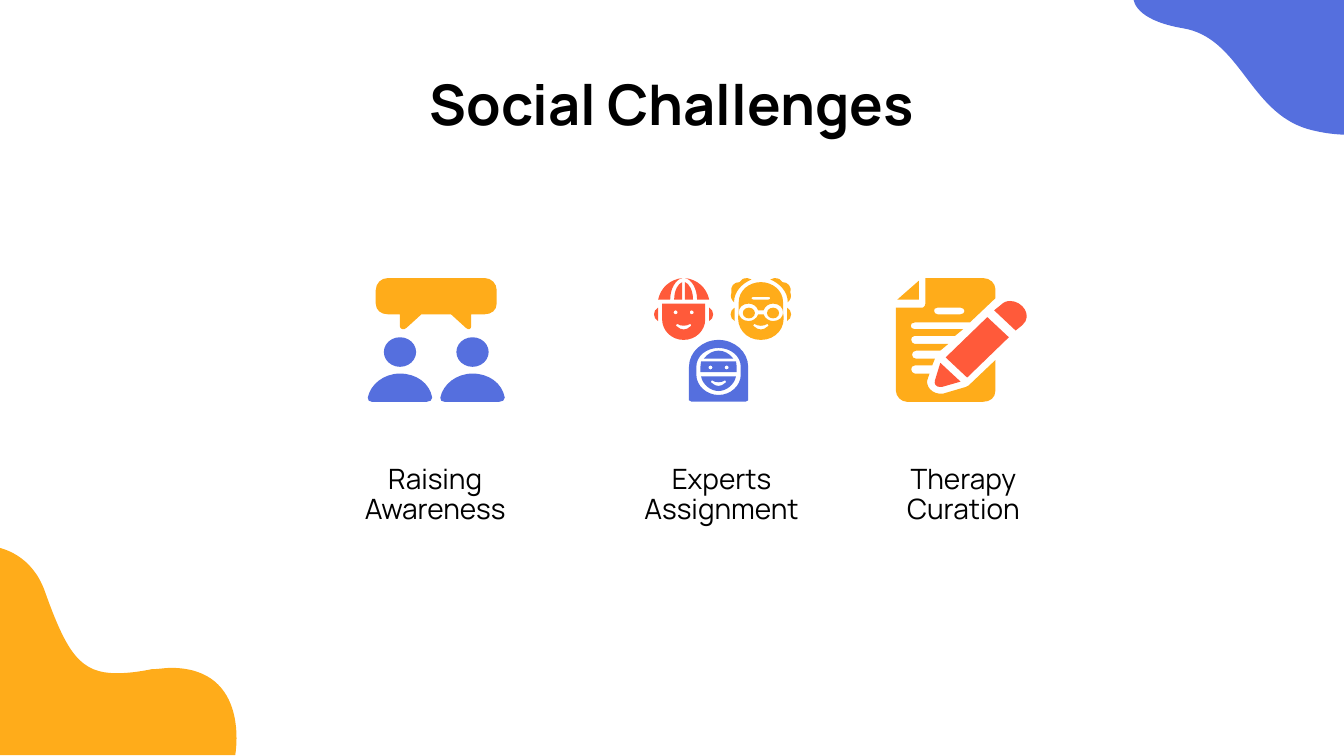
import lxml.etree
import pptx
import pptx.util
import pptx.dml.color
import pptx.enum.shapes
import pptx.enum.text
import pptx.oxml.ns

Pt = pptx.util.Pt
RGB = pptx.dml.color.RGBColor
qn = pptx.oxml.ns.qn
YELLOW = RGB(0xFF, 0xAC, 0x1A)
BLUE = RGB(0x55, 0x6F, 0xDE)
RED = RGB(0xFF, 0x5A, 0x3A)
BLACK = RGB(0, 0, 0)
WHITE = RGB(0xFF, 0xFF, 0xFF)
UNIT = 0.72

EYE = "M 0 -1.5 C 2 -1.5 2 1.5 0 1.5 C -2 1.5 -2 -1.5 0 -1.5 Z"
SMILE = "M -5 0 C -2 2 2 2 5 0 C 6 1 6 2 5 2 C 2 5 -2 5 -5 2 C -6 2 -6 1 -5 0 Z"
EAR = "M 19 22 C 21 23 22 25 22 27 C 22 29 21 31 19 32 Z"


def read_contours(outline_text):
    contours = []
    for part in outline_text.split("M")[1:]:
        tokens = ("L " + part.replace("Z", "")).split()
        segments = []
        i = 0
        while i < len(tokens):
            count = 6 if tokens[i] == "C" else 2
            n = [float(t) for t in tokens[i + 1:i + 1 + count]]
            segments.append(list(zip(n[::2], n[1::2])))
            i += count + 1
        contours.append(segments)
    return contours


def shift(outline_text, dx, dy):
    tokens = []
    horizontal = True
    for t in outline_text.split():
        if not t.isalpha():
            t = str(float(t) + (dx if horizontal else dy))
            horizontal = not horizontal
        tokens.append(t)
    return " ".join(tokens) + " "


def paint(sp, fill):
    sp.shadow.inherit = False
    sp.fill.solid()
    sp.fill.fore_color.rgb = fill
    sp.line.fill.background()


def outline(s, left, top, outline_text, fill, flip=1):
    contours = [[[(Pt(left + flip * x * UNIT), Pt(top + y * UNIT)) for x, y in seg]
                 for seg in c] for c in read_contours(outline_text)]
    builder = s.shapes.build_freeform(*contours[0][0][0], scale=1.0)
    for i, segments in enumerate(contours):
        if i:
            builder.move_to(*segments[0][0])
        builder.add_line_segments([seg[-1] for seg in segments[1:]], close=True)
    sp = builder.convert_to_shape()
    drawn = [seg for c in contours for seg in c[1:]]
    for line, seg in zip(list(sp._element.iter(qn("a:lnTo"))), drawn):
        if len(seg) == 3:
            curve = lxml.etree.Element(qn("a:cubicBezTo"))
            for x, y in seg:
                lxml.etree.SubElement(curve, qn("a:pt"), x=str(x - sp.left), y=str(y - sp.top))
            line.getparent().replace(line, curve)
    paint(sp, fill)


def mirrored(s, axis, top, outline_text, fill):
    for flip in (1, -1):
        outline(s, axis, top, outline_text, fill, flip)


def oval(s, left, top, width, height, fill):
    sp = s.shapes.add_shape(pptx.enum.shapes.MSO_SHAPE.OVAL,
                            Pt(left), Pt(top), Pt(width), Pt(height))
    paint(sp, fill)


def add_text(s, text, left, top, width, height, size=15, bold=False):
    tf = s.shapes.add_textbox(Pt(left), Pt(top), Pt(width), Pt(height)).text_frame
    tf.word_wrap = True
    tf.vertical_anchor = pptx.enum.text.MSO_ANCHOR.TOP
    tf.margin_left = tf.margin_right = tf.margin_top = tf.margin_bottom = Pt(7.2)
    p = tf.paragraphs[0]
    p.alignment = pptx.enum.text.PP_ALIGN.CENTER
    p.line_spacing = 0.9
    r = p.add_run()
    r.text = text
    r.font.name = "Manrope"
    r.font.size = Pt(size)
    r.font.bold = bold
    r.font.color.rgb = BLACK


def corner_waves(s, left, top):
    outline(s, left, top,
            "M -13 406 C -21 406 -28 408 -33 411 L -33 562 L 175 562 "
            "C 175 562 187 497 127 497 C 123 497 118 498 113 498 C 103 500 95 501 87 501 "
            "C 60 501 50 487 33 439 C 24 415 4 406 -13 406 Z", YELLOW)
    outline(s, left, top,
            "M 843 -5 C 842 5 851 16 880 21 C 923 28 929 83 973 96 "
            "C 1020 109 1045 88 1045 88 L 1051 -6 L 848 -19 C 846 -15 843 -10 843 -5 Z", BLUE)


def conversation_icon(s, left, top):
    outline(s, left, top,
            "M 15 0 C 10 0 6 4 6 9 L 6 19 C 6 24 10 27 15 27 L 24 27 L 24 36 "
            "C 24 38 27 39 29 37 L 40 27 L 62 27 L 73 37 C 75 39 77 38 77 36 "
            "L 77 27 L 87 27 C 92 27 96 24 96 19 L 96 9 C 96 4 92 0 87 0 Z", YELLOW)
    for x in (left, left + 54 * UNIT):
        oval(s, x + 12 * UNIT, top + 44 * UNIT, 24 * UNIT, 22 * UNIT, BLUE)
        outline(s, x, top,
                "M 24 71 C 12 71 2 79 0 89 C 0 91 1 92 3 92 L 44 92 "
                "C 46 92 48 91 48 89 C 46 78 36 71 24 71 Z", BLUE)


def capped_face(s, axis, top):
    mirrored(s, axis, top, EAR, RED)
    mirrored(s, axis, top, "M 1 0 C 6 1 10 8 10 16 L 19 16 C 17 7 10 1 1 0 Z", RED)
    mirrored(s, axis, top, "M 1 3 L 1 16 L 7 16 C 7 9 4 4 1 3 Z", RED)
    outline(s, axis, top,
            shift(EYE, -6, 25.5) + shift(EYE, 6, 25.5) + shift(SMILE, 0, 34)
            + "M -16 19 L -16 31 C -16 39 -9 46 0 46 C 9 46 16 39 16 31 L 16 19 Z", RED)


def bespectacled_face(s, axis, top):
    mirrored(s, axis, top, shift(EAR, 0.5, 0), YELLOW)
    mirrored(s, axis, top,
             "M 10 0 C 9 0 8 0 7 1 C 14 4 20 10 20 18 C 22 16 23 14 22 11 "
             "C 23 6 20 3 16 3 C 15 1 13 0 10 0 Z", YELLOW)
    for x in (-9, 9):
        oval(s, axis + (x - 4.5) * UNIT, top + 22 * UNIT, 9 * UNIT, 8 * UNIT, YELLOW)
    outline(s, axis, top,
            "M 5.5 14 C 7.5 14 7.5 16 5.5 16 L -5.5 16 C -7.5 16 -7.5 14 -5.5 14 Z "
            "M 9 19 C 19 19 19 32 9 32 C 6 32 3 30 2 27 L -2 27 C -3 30 -6 32 -9 32 "
            "C -19 32 -19 19 -9 19 C -6 19 -3 21 -2 24 L 2 24 C 3 21 6 19 9 19 Z "
            + shift(SMILE, 0, 34)
            + "M 0 3 C -8.5 3 -16.5 9 -16.5 18 L -16.5 26 C -19 37 -11 46 0 46 "
            "C 11 46 19 37 16.5 26 L 16.5 18 C 16.5 9 8.5 3 0 3 Z", YELLOW)


def hooded_face(s, axis, top):
    outline(s, axis, top, shift(SMILE, 0, 76)
            + "M -13 73 C -12 79 -6 84 0 84 C 6 84 12 79 13 73 Z", BLUE)
    outline(s, axis, top, "M 0 54 C -4 54 -8 56 -11 60 L 11 60 C 8 56 4 54 0 54 Z", BLUE)
    outline(s, axis, top, shift(EYE, -6, 66.5) + shift(EYE, 6, 66.5)
            + "M -13 62 L -13.5 66 L -13.5 70 L 13.5 70 L 13.5 66 L 13 62 Z", BLUE)
    outline(s, axis, top,
            "M 0 52 C 9 52 16.5 58 16.5 66 L 16.5 72 C 16.5 80 9 87 0 87 "
            "C -9 87 -16.5 80 -16.5 72 L -16.5 66 C -16.5 58 -9 52 0 52 Z "
            "M 0 46 C -12 46 -22 55 -22 66 L -22 91 L -20 92 L 20 92 "
            "L 22 91 L 22 66 C 22 55 12 46 0 46 Z", BLUE)


def experts_icon(s, left, top):
    hooded_face(s, left + 48 * UNIT, top)
    bespectacled_face(s, left + 79.5 * UNIT, top)
    capped_face(s, left + 22 * UNIT, top)


def notes_icon(s, left, top):
    outline(s, left, top,
            "M 48 22 C 52 22 52 27 48 27 L 31 27 C 28 27 27 22 31 22 Z "
            "M 22 0 L 22 19 C 22 20 21 22 20 22 L 0 22 L 0 84 C 0 88 4 92 8 92 L 65 92 "
            "C 70 92 74 89 74 84 L 74 61 L 54 80 L 52 81 L 35 86 "
            "C 27 87 21 80 24 74 L 25 71 L 14 71 C 11 71 10 65 14 65 "
            "L 27 65 L 29 60 L 15 60 C 11 60 11 54 15 54 L 33 54 L 39 49 L 14 49 "
            "C 11 49 10 43 14 43 L 44 43 L 50 38 L 14 38 C 10 38 10 33 14 33 L 55 33 "
            "L 74 15 L 74 8 C 74 4 70 0 65 0 Z", YELLOW)
    for part in ("M 33 63 L 29 76 C 28 79 30 81 33 81 L 34 81 L 48 77 Z",
                 "M 85 17 C 82 17 80 18 78 20 L 73 24 L 89 39 L 94 35 C 102 28 94 17 85 17 Z",
                 "M 68 29 L 37 59 L 53 74 L 84 44 Z"):
        outline(s, left, top, part, RED)
    outline(s, left, top, "M 17 2 L 1 16 L 17 16 Z", YELLOW)


def challenge(s, left, top, label, icon):
    icon(s, left + 25, top)
    add_text(s, label, left, top + 93, 122.4, 39.6)


def main():
    prs = pptx.Presentation()
    prs.slide_width, prs.slide_height = Pt(720), Pt(405)
    s = prs.slides.add_slide(prs.slide_layouts[6])
    s.background.fill.solid()
    s.background.fill.fore_color.rgb = WHITE
    corner_waves(s, 0, 0)
    add_text(s, "Social Challenges", 110.5, 34, 499, 45.4, size=30, bold=True)
    for left, label, icon in ((172, "Raising Awareness", conversation_icon),
                              (325.4, "Experts Assignment", experts_icon),
                              (455, "Therapy Curation", notes_icon)):
        challenge(s, left, 149, label, icon)
    prs.save("out.pptx")


if __name__ == "__main__":
    main()
